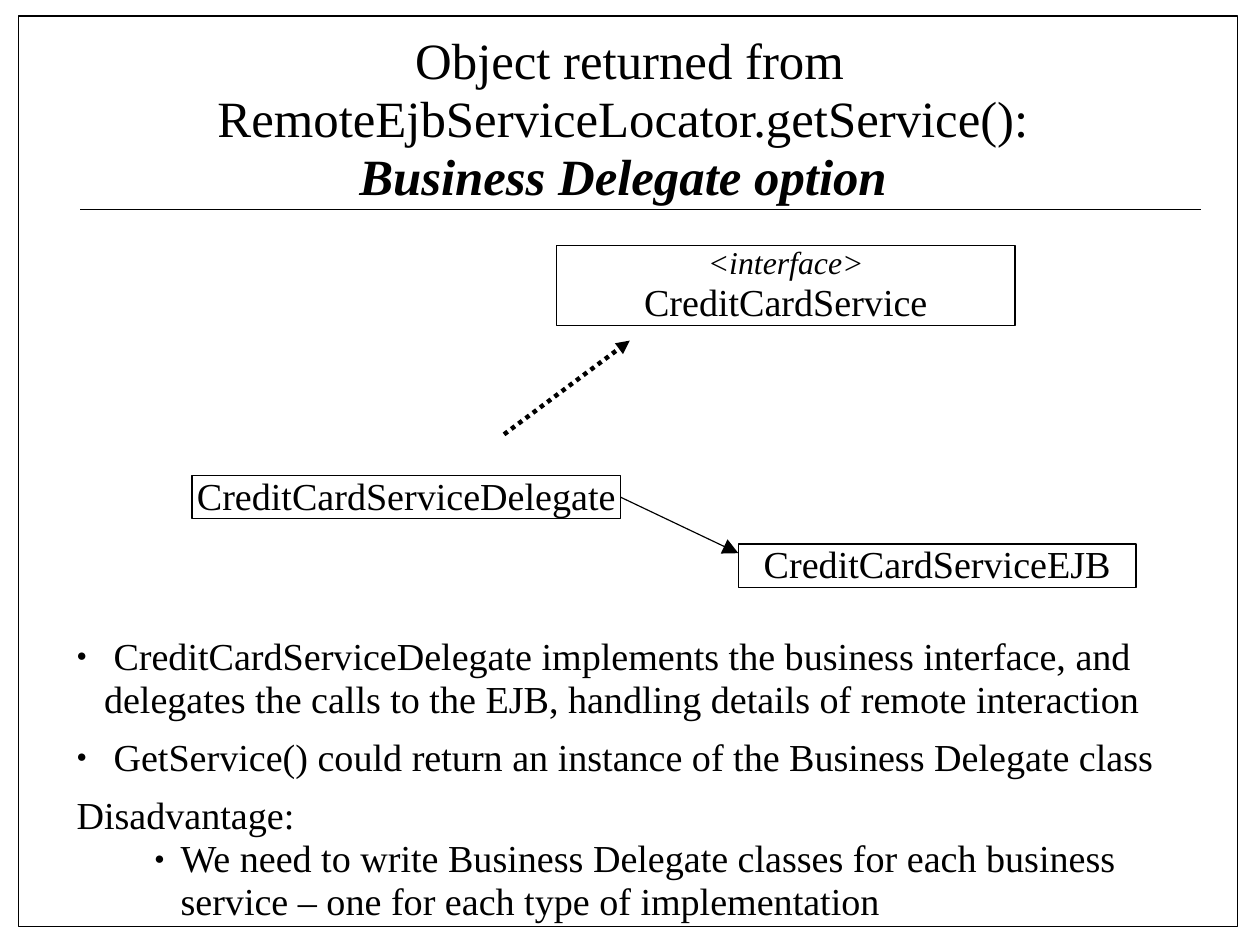
from lxml import etree
from pptx import Presentation
from pptx.dml.color import RGBColor
from pptx.enum import dml, shapes, text
from pptx.oxml import ns
from pptx.util import Inches, Pt

BLACK = RGBColor(0x00, 0x00, 0x00)
FONT = "Times New Roman"
THIN = 0.75
LINE_SPACING = 0.95
CM_PER_INCH = 2.54


def place(item, left, top, width, height):
    item.left, item.top = Inches(left), Inches(top)
    item.width, item.height = Inches(width), Inches(height)


def prepare_frame(frame, anchor):
    frame.margin_left = frame.margin_right = 0
    frame.margin_top = frame.margin_bottom = 0
    frame.word_wrap = True
    frame.auto_size = text.MSO_AUTO_SIZE.NONE
    frame.vertical_anchor = anchor


def add_para(frame, index, words, size, align, bold=False, italic=False, before=0):
    para = frame.paragraphs[0] if index == 0 else frame.add_paragraph()
    para.alignment = align
    para.line_spacing = LINE_SPACING
    para.space_before, para.space_after = Pt(before), Pt(0)
    span = para.add_run()
    span.text = words
    span.font.name, span.font.size = FONT, Pt(size)
    span.font.bold, span.font.italic = bold, italic
    span.font.color.rgb = BLACK
    return para


def set_bullet(para, margin, hanging):
    """Give a paragraph a small round bullet, or none when nothing hangs."""
    props = para._p.get_or_add_pPr()
    props.set("marL", str(Inches(margin)))
    props.set("indent", str(-Inches(hanging)))
    if hanging:
        etree.SubElement(props, ns.qn("a:buSzPct")).set("val", "45000")
        etree.SubElement(props, ns.qn("a:buFont")).set("typeface", FONT)
        etree.SubElement(props, ns.qn("a:buChar")).set("char", "●")
    else:
        etree.SubElement(props, ns.qn("a:buNone"))


def add_box(page, left, top, width, height, lines=()):
    box = page.shapes.add_shape(
        shapes.MSO_SHAPE.RECTANGLE,
        Inches(left), Inches(top), Inches(width), Inches(height))
    box.shadow.inherit = False
    box.fill.background()
    box.line.color.rgb = BLACK
    box.line.width = Pt(THIN)
    prepare_frame(box.text_frame, text.MSO_ANCHOR.MIDDLE)
    for index, (words, size, italic) in enumerate(lines):
        add_para(box.text_frame, index, words, size, text.PP_ALIGN.CENTER, italic=italic)
    return box


def add_line(page, start, end, width=THIN, head=None):
    line = page.shapes.add_connector(
        shapes.MSO_CONNECTOR.STRAIGHT, *(Inches(value) for value in start + end))
    line.line.color.rgb = BLACK
    line.line.width = Pt(width)
    if head:
        tail = etree.SubElement(line.line._get_or_add_ln(), ns.qn("a:tailEnd"))
        tail.set("type", "triangle")
        tail.set("w", head)
        tail.set("len", head)
    etree.SubElement(line._element.spPr, ns.qn("a:effectLst"))
    return line


def add_heading(page, left, top, width, height):
    title = page.shapes.title
    place(title, left, top, width, height)
    prepare_frame(title.text_frame, text.MSO_ANCHOR.TOP)
    center = text.PP_ALIGN.CENTER
    add_para(title.text_frame, 0,
             " Object returned from RemoteEjbServiceLocator.getService():", 32, center)
    add_para(title.text_frame, 1, "Business Delegate option", 32, center,
             bold=True, italic=True)
    # Rule under the heading
    rule = top + height + 0.02
    add_line(page, (left - 0.79, rule), (left + width + 1.09, rule))


def add_diagram(page, left, top):
    add_box(page, left + 3.19, top, 4.01, 0.7,
            [("<interface>", 20, True), ("CreditCardService", 24, False)])
    delegate = add_box(page, left, top + 2.01, 3.75, 0.38,
                       [("CreditCardServiceDelegate", 24, False)])
    add_box(page, left + 4.78, top + 2.61, 3.48, 0.38,
            [("CreditCardServiceEJB", 24, False)])
    # Delegate implements the interface
    implements = add_line(page, (left + 2.73, top + 1.65), (left + 3.83, top + 0.83),
                          width=2.83, head="med")
    implements.line.dash_style = dml.MSO_LINE.ROUND_DOT
    # Delegate calls the EJB
    calls = add_line(page, (left + 3.75, top + 2.2), (left + 4.78, top + 2.69), head="lg")
    calls.begin_connect(delegate, 3)


def add_points(page, left, top, width, height):
    body = page.placeholders[1]
    place(body, left, top, width, height)
    prepare_frame(body.text_frame, text.MSO_ANCHOR.TOP)
    # Words, level, left margin, hanging indent, space before
    points = [
        (" CreditCardServiceDelegate implements the business interface, and delegates "
         "the calls to the EJB, handling details of remote interaction", 0, 0.24, 0.24, 0),
        (" GetService() could return an instance of the Business Delegate class",
         0, 0.24, 0.24, 9),
        ("Disadvantage:", 0, 0, 0, 9),
        ("We need to write Business Delegate classes for each business service – "
         "one for each type of implementation", 1, 0.91, 0.23, 0),
    ]
    for index, (words, level, margin, hanging, before) in enumerate(points):
        para = add_para(body.text_frame, index, words, 24, text.PP_ALIGN.LEFT,
                        before=before)
        para.level = level
        set_bullet(para, margin, hanging)


def main():
    deck = Presentation()
    # A page of 28 by 21 centimetres
    deck.slide_width = Inches(28 / CM_PER_INCH)
    deck.slide_height = Inches(21 / CM_PER_INCH)
    page = deck.slides.add_slide(deck.slide_layouts[1])
    # Frame around the page
    add_box(page, 0.16, 0.14, 10.67, 7.97)
    add_heading(page, 1.49, 0.29, 7.93, 1.52)
    add_diagram(page, 1.68, 2.15)
    add_points(page, 0.67, 5.56, 9.5, 2.54)
    deck.save("out.pptx")


if __name__ == "__main__":
    main()
